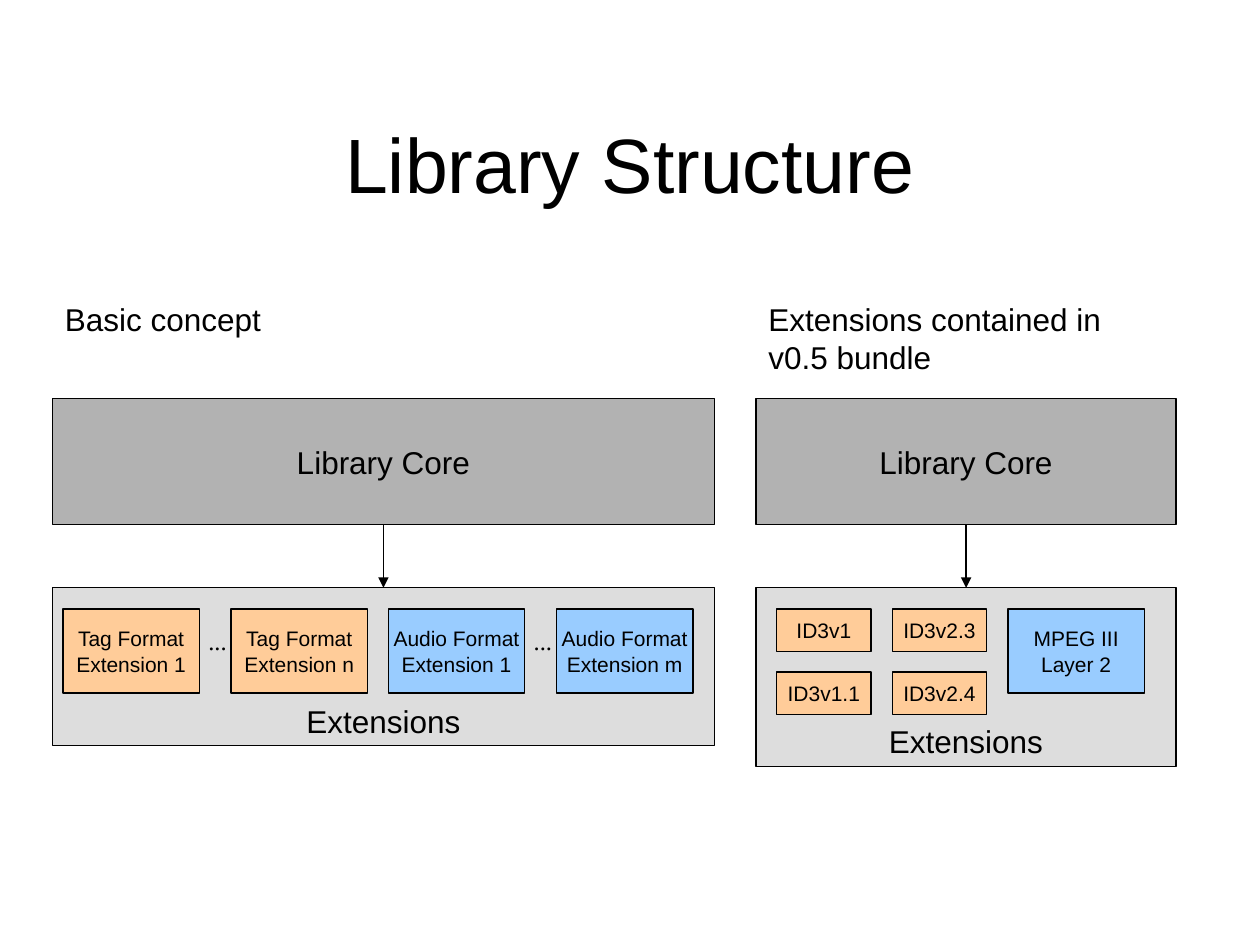
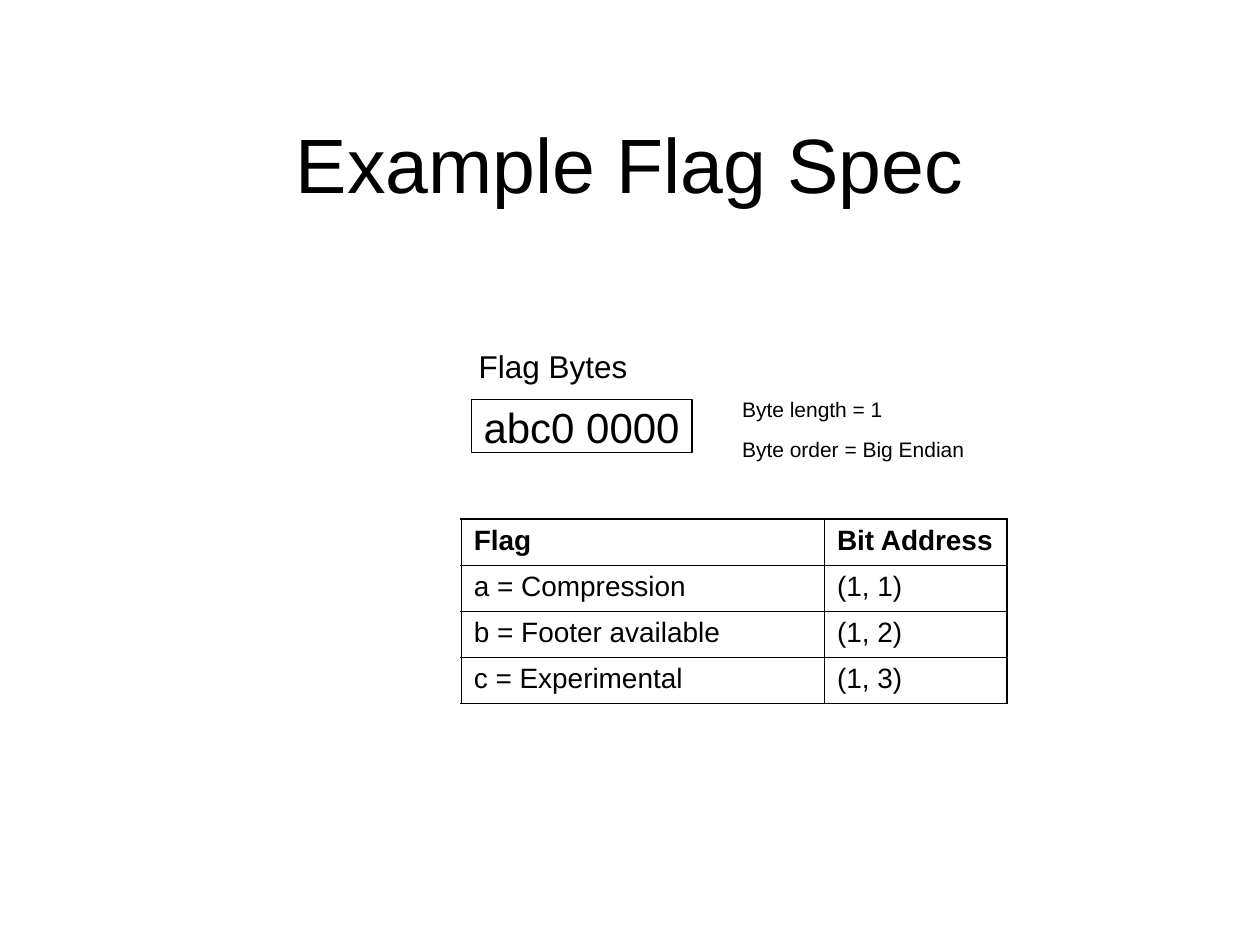
from dataclasses import dataclass
from itertools import product
from typing import Any, NamedTuple, Optional

from lxml import etree
from pptx import Presentation
from pptx.dml.color import RGBColor
from pptx.enum.shapes import MSO_CONNECTOR, MSO_SHAPE
from pptx.enum.text import MSO_ANCHOR, MSO_AUTO_SIZE, PP_ALIGN
from pptx.oxml.ns import qn
from pptx.shapes.autoshape import Shape
from pptx.slide import Slide
from pptx.util import Cm, Pt

RECTANGLE = MSO_SHAPE.RECTANGLE
STRAIGHT = MSO_CONNECTOR.STRAIGHT
TOP, MIDDLE, BOTTOM = MSO_ANCHOR.TOP, MSO_ANCHOR.MIDDLE, MSO_ANCHOR.BOTTOM
LEFT, CENTER = PP_ALIGN.LEFT, PP_ALIGN.CENTER
NO_AUTOFIT = MSO_AUTO_SIZE.NONE
TITLE_ONLY = 5
BOTTOM_SITE, TOP_SITE = 2, 0


@dataclass(frozen=True)
class Theme:
    font: str = "Arial"
    dots_font: str = "Times New Roman"
    ink: str = "000000"
    core: str = "B2B2B2"
    panel: str = "DDDDDD"
    tag: str = "FFCC99"
    audio: str = "99CCFF"
    title_size: float = 44
    byte_size: float = 24
    heading_size: float = 18
    table_size: float = 16
    dots_size: float = 14
    small_size: float = 12
    line: float = 0.75
    outer_border: float = 1.08
    inner_border: float = 0.45


THEME = Theme()


class Area(NamedTuple):
    left: float
    top: float
    width: float
    height: float


@dataclass(frozen=True)
class Box:
    text: str
    area: Area
    fill: Optional[str] = None
    size: float = THEME.small_size
    anchor: Any = MIDDLE
    side_margin: float = 0.25


@dataclass(frozen=True)
class Label:
    text: str
    area: Area
    size: float = THEME.heading_size
    font: str = THEME.font


@dataclass(frozen=True)
class Panel:
    heading: Label
    left: float
    width: float
    extensions_height: float
    extensions: list[Box]


CORE_TOP, CORE_HEIGHT = 8.04, 2.54
EXTENSIONS_TOP = 11.85
BLOCK_TOP, BLOCK_WIDTH, BLOCK_HEIGHT = 12.28, 2.75, 1.69
PAIR_STEP, DOTS_OFFSET = 3.39, 2.68
TAG_LEFT, AUDIO_LEFT = 1.27, 7.83
ID3_LEFT, ID3_STEP_X, ID3_STEP_Y = 15.66, 2.33, 1.27
ID3_GRID = [["ID3v1", "ID3v2.3"], ["ID3v1.1", "ID3v2.4"]]

FLAG_ROWS = [
    ("Flag", "Bit Address"),
    ("a = Compression", "(1, 1)"),
    ("b = Footer available", "(1, 2)"),
    ("c = Experimental", "(1, 3)"),
]
FLAG_COLUMNS = (7.32, 3.68)
FLAG_ROW_HEIGHT = 0.93


def apply_format(target: Any, values: dict[str, Any]) -> None:
    for name, value in values.items():
        setattr(target, name, value)


def to_lengths(area: Area) -> list[Cm]:
    return [Cm(value) for value in area]


def write_text(text_frame: Any, text: str, size: float, align: Any = LEFT,
               font: str = THEME.font, bold: bool = False) -> None:
    paragraph = text_frame.paragraphs[0]
    paragraph.text = text
    paragraph.alignment = align
    apply_format(paragraph.font, {"name": font, "size": Pt(size), "bold": bold})
    paragraph.font.color.rgb = RGBColor.from_string(THEME.ink)


def style_line(line: Any) -> None:
    line.color.rgb = RGBColor.from_string(THEME.ink)
    line.width = Pt(THEME.line)


def add_box(slide: Slide, box: Box) -> Shape:
    shape = slide.shapes.add_shape(RECTANGLE, *to_lengths(box.area))
    shape.shadow.inherit = False
    if box.fill:
        shape.fill.solid()
        shape.fill.fore_color.rgb = RGBColor.from_string(box.fill)
    else:
        shape.fill.background()
    style_line(shape.line)
    apply_format(shape.text_frame, {
        "word_wrap": False,
        "vertical_anchor": box.anchor,
        "margin_left": Cm(box.side_margin),
        "margin_right": Cm(box.side_margin),
    })
    write_text(shape.text_frame, box.text, box.size, CENTER)
    return shape


def add_label(slide: Slide, label: Label) -> None:
    shape = slide.shapes.add_textbox(*to_lengths(label.area))
    apply_format(shape.text_frame, {
        "word_wrap": False, "auto_size": NO_AUTOFIT, "vertical_anchor": TOP,
    })
    write_text(shape.text_frame, label.text, label.size, font=label.font)


def add_arrow(slide: Slide, source: Shape, target: Shape) -> None:
    connector = slide.shapes.add_connector(STRAIGHT, 0, 0, 0, 0)
    connector.begin_connect(source, BOTTOM_SITE)
    connector.end_connect(target, TOP_SITE)
    style_line(connector.line)
    properties = connector.element.spPr
    etree.SubElement(properties.find(qn("a:ln")), qn("a:tailEnd"), type="triangle")
    etree.SubElement(properties, qn("a:effectLst"))


def add_panel(slide: Slide, panel: Panel) -> None:
    add_label(slide, panel.heading)
    extensions = add_box(slide, Box(
        "Extensions",
        Area(panel.left, EXTENSIONS_TOP, panel.width, panel.extensions_height),
        THEME.panel, THEME.heading_size, BOTTOM))
    core = add_box(slide, Box(
        "Library Core", Area(panel.left, CORE_TOP, panel.width, CORE_HEIGHT),
        THEME.core, THEME.heading_size))
    add_arrow(slide, core, extensions)
    for box in panel.extensions:
        add_box(slide, box)


def add_titled_slide(presentation: Any, title: str) -> Slide:
    slide = presentation.slides.add_slide(presentation.slide_layouts[TITLE_ONLY])
    placeholder = slide.shapes.title
    left, top, width, height = to_lengths(Area(1.9, 1.69, 21.6, 3.17))
    apply_format(placeholder, {
        "left": left, "top": top, "width": width, "height": height,
    })
    apply_format(placeholder.text_frame, {
        "auto_size": NO_AUTOFIT, "vertical_anchor": MIDDLE, "word_wrap": True,
    })
    write_text(placeholder.text_frame, title, THEME.title_size, CENTER)
    return slide


def format_block(text: str, left: float, fill: str) -> Box:
    return Box(text, Area(left, BLOCK_TOP, BLOCK_WIDTH, BLOCK_HEIGHT), fill)


def build_structure_slide(presentation: Any) -> None:
    slide = add_titled_slide(presentation, "Library Structure")
    families = [
        ("Tag", "n", TAG_LEFT, THEME.tag),
        ("Audio", "m", AUDIO_LEFT, THEME.audio),
    ]
    concept_blocks = [
        format_block(f"{family} Format\nExtension {number}",
                     left + position * PAIR_STEP, fill)
        for family, last, left, fill in families
        for position, number in enumerate(("1", last))
    ]
    bundle_blocks = [
        Box(ID3_GRID[row][column],
            Area(ID3_LEFT + column * ID3_STEP_X, BLOCK_TOP + row * ID3_STEP_Y,
                 1.9, 0.85), THEME.tag)
        for row, column in product(range(2), repeat=2)
    ]
    bundle_blocks.append(format_block("MPEG III\nLayer 2", 20.32, THEME.audio))
    panels = [
        Panel(Label("Basic concept", Area(1.06, 5.93, 4.6, 1.02)),
              1.06, 13.34, 3.18, concept_blocks),
        Panel(Label("Extensions contained in\nv0.5 bundle",
                    Area(15.24, 5.93, 7.35, 1.78)),
              15.24, 8.47, 3.6, bundle_blocks),
    ]
    for panel in panels:
        add_panel(slide, panel)
    for left in (TAG_LEFT, AUDIO_LEFT):
        add_label(slide, Label("...", Area(left + DOTS_OFFSET, 12.49, 0.95, 0.86),
                               THEME.dots_size, THEME.dots_font))


def set_borders(cell: Any, widths: dict[str, float]) -> None:
    properties = cell._tc.get_or_add_tcPr()
    for side, width in widths.items():
        line = etree.SubElement(properties, qn(f"a:ln{side}"), w=str(Pt(width)))
        fill = etree.SubElement(line, qn("a:solidFill"))
        etree.SubElement(fill, qn("a:srgbClr"), val=THEME.ink)


def add_flag_table(slide: Slide) -> None:
    last_row, last_column = len(FLAG_ROWS) - 1, len(FLAG_COLUMNS) - 1
    area = Area(9.3, 10.46, sum(FLAG_COLUMNS), FLAG_ROW_HEIGHT * len(FLAG_ROWS))
    table = slide.shapes.add_table(
        len(FLAG_ROWS), len(FLAG_COLUMNS), *to_lengths(area)).table
    apply_format(table, {"first_row": False, "horz_banding": False})
    for column, width in zip(table.columns, FLAG_COLUMNS):
        column.width = Cm(width)
    for row_index, texts in enumerate(FLAG_ROWS):
        table.rows[row_index].height = Cm(FLAG_ROW_HEIGHT)
        for column_index, text in enumerate(texts):
            cell = table.cell(row_index, column_index)
            outer_sides = {
                "L": column_index == 0,
                "R": column_index == last_column,
                "T": row_index == 0,
                "B": row_index == last_row,
            }
            set_borders(cell, {
                side: THEME.outer_border if outer else THEME.inner_border
                for side, outer in outer_sides.items()
            })
            cell.fill.background()
            write_text(cell.text_frame, text, THEME.table_size, bold=row_index == 0)


def build_flag_slide(presentation: Any) -> None:
    slide = add_titled_slide(presentation, "Example Flag Spec")
    add_box(slide, Box("abc0 0000", Area(9.5, 8.06, 4.45, 1.07),
                       size=THEME.byte_size, side_margin=0.05))
    labels = [
        Label("Flag Bytes", Area(9.4, 6.87, 3.65, 1.02)),
        Label("Byte length = 1", Area(14.71, 7.87, 3.5, 0.76), THEME.small_size),
        Label("Byte order = Big Endian", Area(14.71, 8.67, 5.15, 0.76),
              THEME.small_size),
    ]
    for label in labels:
        add_label(slide, label)
    add_flag_table(slide)


def main() -> None:
    presentation = Presentation()
    apply_format(presentation, {"slide_width": Cm(25.4), "slide_height": Cm(19.05)})
    build_structure_slide(presentation)
    build_flag_slide(presentation)
    presentation.save("out.pptx")


if __name__ == "__main__":
    main()
